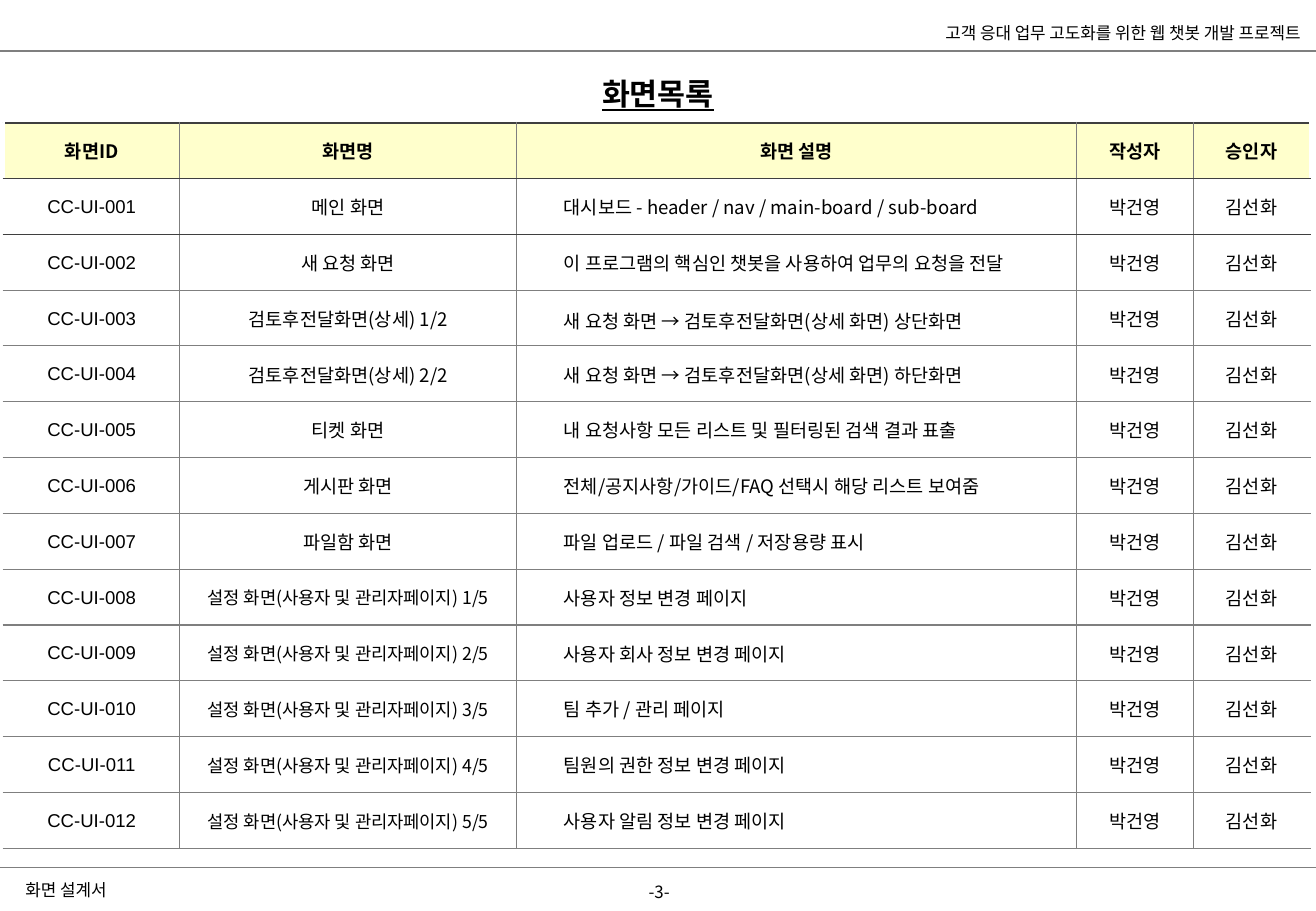
from lxml.etree import SubElement as Sub
from pptx import Presentation
from pptx.dml.color import RGBColor
from pptx.enum.shapes import MSO_CONNECTOR as Link
from pptx.enum.text import MSO_ANCHOR as Anchor, PP_ALIGN as Align
from pptx.oxml.ns import qn
from pptx.util import Inches, Pt

WIDE, HIGH = 10.83, 7.5
KOREAN, LATIN = "Noto Sans CJK KR", "Arial"
BLACK, DARK, GREY, WHITE, CREAM = "000000", "3F3F3F", "7F7F7F", "FFFFFF", "FFFFCC"

HEADS = ["화면ID", "화면명", "화면 설명", "작성자", "승인자"]
WIDTHS = [13.39, 25.58, 42.57, 8.86, 8.86]
ROW = 6.13
WRITER, CHECKER = "박건영", "김선화"
SCREENS = [
    ("메인 화면", "대시보드 - header / nav / main-board / sub-board"),
    ("새 요청 화면", "이 프로그램의 핵심인 챗봇을 사용하여 업무의 요청을 전달"),
    ("검토후전달화면(상세) 1/2", "새 요청 화면 → 검토후전달화면(상세 화면) 상단화면"),
    ("검토후전달화면(상세) 2/2", "새 요청 화면 → 검토후전달화면(상세 화면) 하단화면"),
    ("티켓 화면", "내 요청사항 모든 리스트 및 필터링된 검색 결과 표출"),
    ("게시판 화면", "전체/공지사항/가이드/FAQ 선택시 해당 리스트 보여줌"),
    ("파일함 화면", "파일 업로드 / 파일 검색 / 저장용량 표시"),
]
SETTINGS = [
    "사용자 정보 변경 페이지",
    "사용자 회사 정보 변경 페이지",
    "팀 추가 / 관리 페이지",
    "팀원의 권한 정보 변경 페이지",
    "사용자 알림 정보 변경 페이지",
]
SCREENS += [(f"설정 화면(사용자 및 관리자페이지) {n}/{len(SETTINGS)}", note)
            for n, note in enumerate(SETTINGS, 1)]

# Cell insets in inches: left, top, right, bottom
HEAD_PAD = (0.14, 0.06, 0.14, 0.06)
PADS = [(0.01, 0.01, 0.01, 0), (0.04,) * 4, (0.39, 0.04, 0.05, 0.04),
        (0.05, 0.04, 0.05, 0.04), (0.05, 0.04, 0.05, 0.04)]


def color(code):
    return RGBColor.from_string(code)


def across(cols):
    """Length of so many of the slide's 100 columns."""
    return Inches(WIDE * cols / 100)


def down(rows):
    """Length of so many of the slide's 100 rows."""
    return Inches(HIGH * rows / 100)


def write(frame, text, size=11, font=KOREAN, bold=False, under=False,
          align=Align.CENTER, space=None):
    para = frame.paragraphs[0]
    para.alignment = align
    if space:
        para.line_spacing = space
    run = para.add_run()
    run.text = text
    face = run.font
    face.size, face.name, face.bold, face.underline = Pt(size), font, bold, under
    face.color.rgb = color(BLACK)
    Sub(run._r.get_or_add_rPr(), qn("a:ea"), typeface=KOREAN)


def inset(box, pad):
    """Set the margins of a cell or a text frame."""
    (box.margin_left, box.margin_top,
     box.margin_right, box.margin_bottom) = map(Inches, pad)


def edge(cell, side, code, weight):
    line = Sub(cell._tc.get_or_add_tcPr(), qn("a:ln" + side), w=str(Pt(weight)))
    Sub(Sub(line, qn("a:solidFill")), qn("a:srgbClr"), val=code)


def rule(row):
    """Colour and weight of the line above a table row."""
    return DARK if row < 3 else GREY, 0.75 if row else 1.5


def post(col):
    """Colour and weight of the line left of a table column."""
    return (GREY, 0.75) if 0 < col < len(WIDTHS) else (WHITE, 1.5)


class Page:
    def __init__(self, deck):
        self.shapes = deck.slides.add_slide(deck.slide_layouts[6]).shapes

    def text(self, x, y, wide, high, text, pad=(0, 0.04, 0, 0.04),
             anchor=Anchor.MIDDLE, **style):
        box = self.shapes.add_textbox(across(x), down(y), across(wide), down(high))
        frame = box.text_frame
        frame.word_wrap = True
        frame.vertical_anchor = anchor
        inset(frame, pad)
        write(frame, text, **style)

    def line(self, y, weight):
        bar = self.shapes.add_connector(Link.STRAIGHT, 0, down(y), across(100), down(y))
        bar.line.color.rgb = color(GREY)
        bar.line.width = Pt(weight)
        Sub(bar._element.spPr, qn("a:effectLst"))

    def table(self, x, y):
        count = len(SCREENS) + 1
        grid = self.shapes.add_table(count, len(WIDTHS), across(x), down(y),
                                     across(sum(WIDTHS)), down(ROW * count)).table
        grid.first_row = grid.horz_banding = False
        for col, wide in zip(grid.columns, WIDTHS):
            col.width = across(wide)
        for row in grid.rows:
            row.height = down(ROW)
        for col, head in enumerate(HEADS):
            self.cell(grid, 0, col, head, HEAD_PAD, CREAM, bold=True)
        for row, (name, note) in enumerate(SCREENS, 1):
            texts = [f"CC-UI-{row:03}", name, note, WRITER, CHECKER]
            styles = [{"font": LATIN},
                      {"size": 10.5 if name.startswith("설정") else 11},
                      {"align": Align.LEFT, "space": 1.2 if row == 3 else None},
                      {}, {}]
            for col, (text, style) in enumerate(zip(texts, styles)):
                self.cell(grid, row, col, text, PADS[col], WHITE, **style)

    def cell(self, grid, row, col, text, pad, fill, **style):
        cell = grid.cell(row, col)
        cell.vertical_anchor = Anchor.MIDDLE
        inset(cell, pad)
        edge(cell, "L", *post(col))
        edge(cell, "R", *post(col + 1))
        edge(cell, "T", *rule(row))
        edge(cell, "B", *rule(row + 1))
        cell.fill.solid()
        cell.fill.fore_color.rgb = color(fill)
        write(cell.text_frame, text, **style)


def main():
    deck = Presentation()
    deck.slide_width, deck.slide_height = Inches(WIDE), Inches(HIGH)
    page = Page(deck)
    loose = {"pad": (0.1, 0.05, 0.1, 0.05), "anchor": Anchor.TOP}
    page.text(47.83, 96.13, 4.52, 3.6, "-3-", size=10, **loose)
    page.text(66.76, 2.4, 32.04, 2.4, "고객 응대 업무 고도화를 위한 웹 챗봇 개발 프로젝트",
              size=10, align=Align.RIGHT)
    page.text(1.94, 96.13, 43.77, 3.07, "화면 설계서", size=10, align=Align.LEFT)
    page.line(95.2, 0.75)
    page.line(5.6, 1.5)
    page.table(0.28, 13.47)
    page.text(41.64, 7.6, 16.71, 8.4, "화면목록", size=18, font=LATIN,
              bold=True, under=True, **loose)
    deck.save("out.pptx")


if __name__ == "__main__":
    main()
